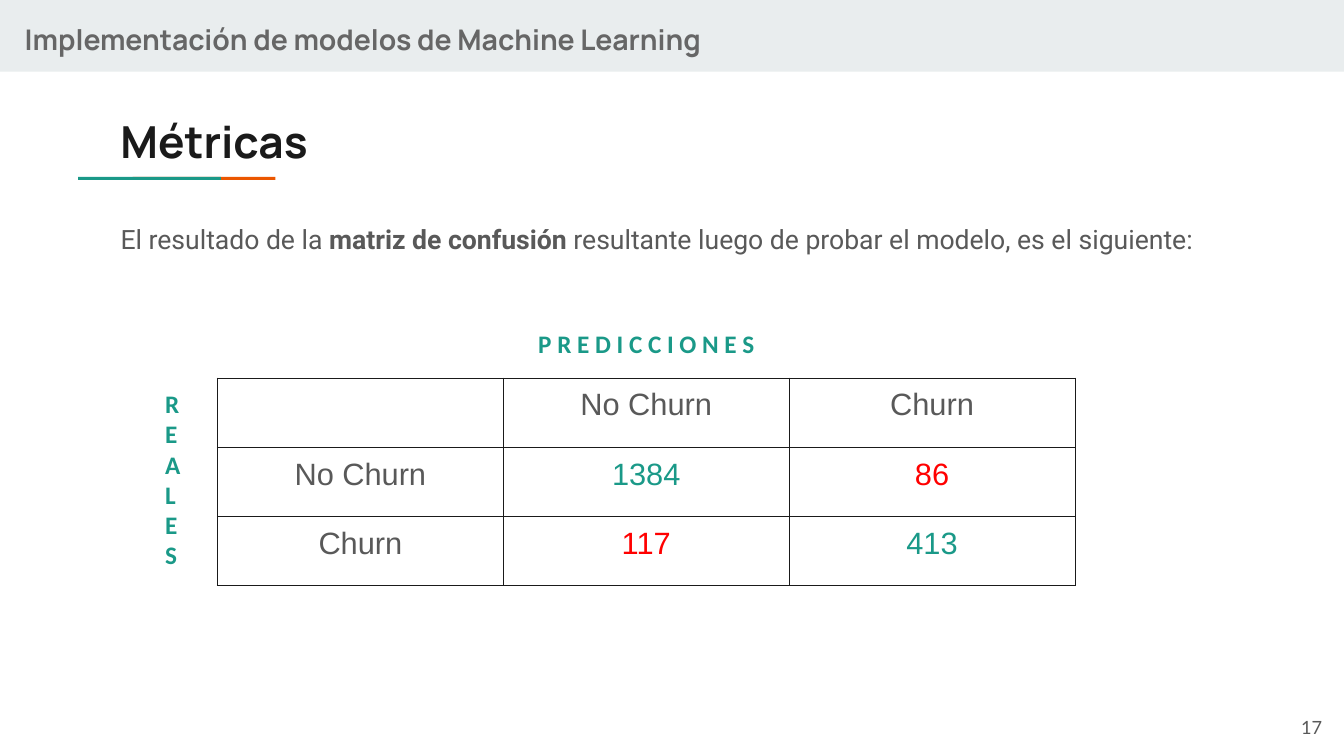
"""Builds the slide with the confusion matrix of the churn model."""
from pptx import Presentation
from pptx.dml.color import RGBColor
from pptx.enum import shapes, text
from pptx.oxml import parse_xml
from pptx.oxml import ns
from pptx.util import Pt

GREEN, ORANGE, RED = "1A9988", "EB5600", "FF0000"
GREY, DARK, BAND = "595959", "1A1A1A", "E9EDEE"
LEFT, CENTER, RIGHT = text.PP_ALIGN.LEFT, text.PP_ALIGN.CENTER, text.PP_ALIGN.RIGHT


def rgb(value):
    return RGBColor.from_string(value)


class Deck:
    def __init__(self, width, height):
        self.prs = Presentation()
        self.prs.slide_width, self.prs.slide_height = Pt(width), Pt(height)
        self.s = self.prs.slides.add_slide(self.prs.slide_layouts[6])

    def style(self, r, font, size, color, bold=False):
        r.font.name, r.font.size, r.font.bold = font, Pt(size), bold
        r.font.color.rgb = rgb(color)

    def bar(self, x, y, w, h, color):
        sp = self.s.shapes.add_shape(shapes.MSO_SHAPE.RECTANGLE, Pt(x), Pt(y), Pt(w), Pt(h))
        sp.shadow.inherit = False
        sp.fill.solid()
        sp.fill.fore_color.rgb = rgb(color)
        sp.line.fill.background()

    def label(self, box, lines, font, size, color, bold=False, align=LEFT,
              inset=9.6, anchor=text.MSO_ANCHOR.TOP):
        tf = self.s.shapes.add_textbox(*map(Pt, box)).text_frame
        tf.word_wrap, tf.vertical_anchor = True, anchor
        tf.margin_left = tf.margin_right = tf.margin_top = tf.margin_bottom = Pt(inset)
        tf.text = lines
        for p in tf.paragraphs:
            p.alignment = align
            for r in p.runs:
                self.style(r, font, size, color, bold)
        return tf

    def sentence(self, box, parts, font, size, color):
        p = self.label(box, "", font, size, color).paragraphs[0]
        p.line_spacing, p.space_after = 1.15, Pt(16)
        for words, bold in parts:
            r = p.add_run()
            r.text = words
            self.style(r, font, size, color, bold)

    def border(self, cell, color, width):
        tcPr = cell._tc.get_or_add_tcPr()
        for side in ("lnL", "lnR", "lnT", "lnB"):
            tcPr.append(parse_xml(
                f'<a:{side} {ns.nsdecls("a")} w="{Pt(width)}"><a:solidFill>'
                f'<a:srgbClr val="{color}"/></a:solidFill></a:{side}>'))

    def matrix(self, x, y, col_w, row_h, rows, font, size):
        n, m = len(rows), len(rows[0])
        tbl = self.s.shapes.add_table(n, m, Pt(x), Pt(y), Pt(col_w * m), Pt(row_h * n)).table
        tbl.first_row = tbl.horz_banding = False
        for col in tbl.columns:
            col.width = Pt(col_w)
        for i, row in enumerate(rows):
            tbl.rows[i].height = Pt(row_h)
            for j, (words, color) in enumerate(row):
                cell = tbl.cell(i, j)
                self.border(cell, DARK, 0.75)
                cell.fill.background()
                cell.margin_left = cell.margin_right = Pt(7.2)
                cell.margin_top = cell.margin_bottom = Pt(7.2)
                cell.text = words
                p = cell.text_frame.paragraphs[0]
                p.alignment = CENTER
                for r in p.runs:
                    self.style(r, font, size, color)


def main():
    deck = Deck(960, 540)
    deck.bar(0, 0, 960, 51.2, BAND)
    for x, color in ((94.7, ORANGE), (55.8, GREEN)):
        deck.bar(x, 126.4, 102, 2.2, color)

    deck.label((8, 6.5, 807, 39.6), "Implementación de modelos de Machine Learning",
               "Manrope", 20.3, "666666", True)
    deck.label((76.4, 72.2, 807, 56), "Métricas", "Manrope", 31.5, DARK, True)
    deck.sentence((76.5, 146.2, 807, 58.3), [
        ("El resultado de la ", False),
        ("matriz de confusión", True),
        (" resultante luego de probar el modelo, es el siguiente:", False),
    ], "Roboto", 19, GREY)

    deck.label((155.4, 227.5, 612.7, 36), "P R E D I C C I O N E S",
               "Calibri", 18, GREEN, True, CENTER, 7.2)
    deck.label((110.9, 270.2, 33.8, 145.4), "R E A L E\nS",
               "Calibri", 18, GREEN, True, LEFT, 7.2)
    deck.matrix(155.3, 270, 204.2, 49.4, [
        [("", GREY), ("No Churn", GREY), ("Churn", GREY)],
        [("No Churn", GREY), ("1384", GREEN), ("86", RED)],
        [("Churn", GREY), ("117", RED), ("413", GREEN)],
    ], "Arial", 22)

    deck.label((896.4, 499, 57.6, 41), "17", "Lato", 13, GREY, False, RIGHT,
               anchor=text.MSO_ANCHOR.MIDDLE)
    deck.prs.save("out.pptx")


if __name__ == "__main__":
    main()
